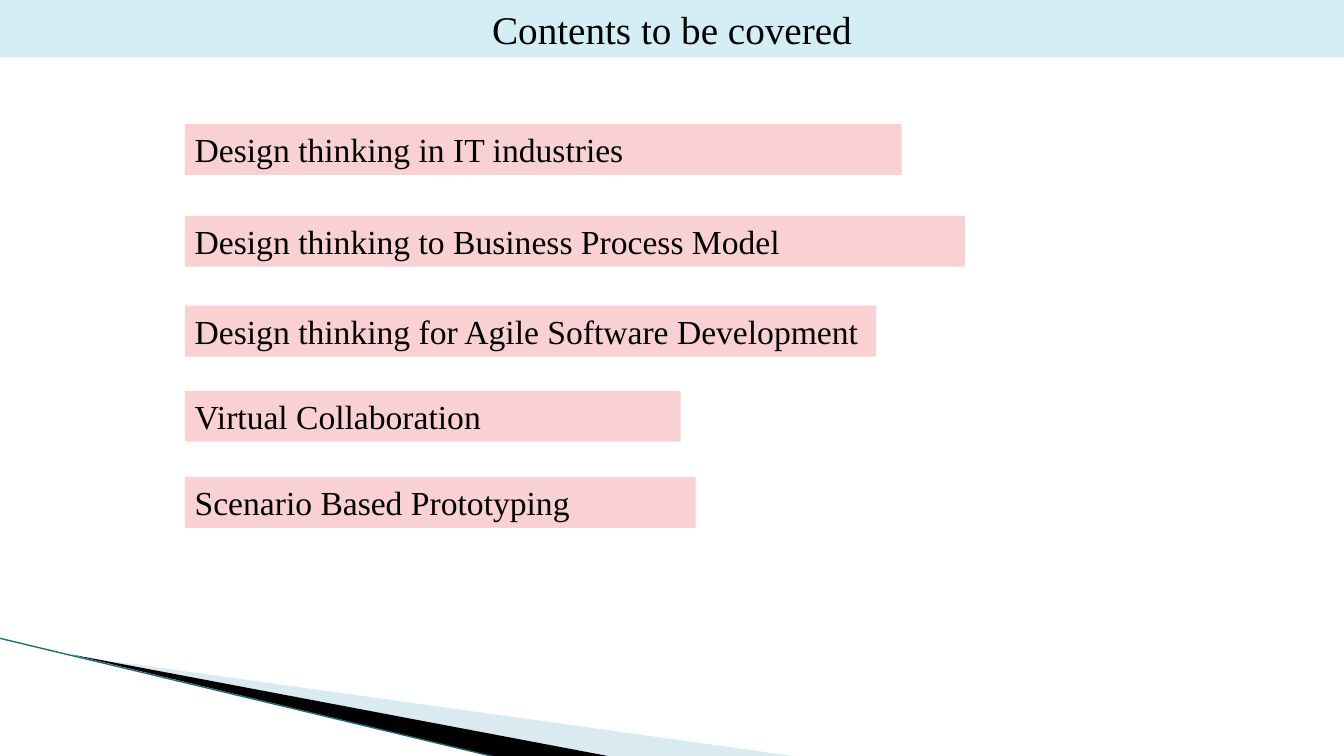
from dataclasses import dataclass

from lxml import etree
from pptx import Presentation
from pptx.dml.color import RGBColor
from pptx.enum.shapes import MSO_CONNECTOR
from pptx.enum.text import MSO_ANCHOR, MSO_AUTO_SIZE, PP_ALIGN
from pptx.oxml.ns import qn
from pptx.util import Pt

STRAIGHT = MSO_CONNECTOR.STRAIGHT
TOP = MSO_ANCHOR.TOP
FIT_SHAPE = MSO_AUTO_SIZE.SHAPE_TO_FIT_TEXT
LEFT, CENTER = PP_ALIGN.LEFT, PP_ALIGN.CENTER


@dataclass(frozen=True)
class Theme:
    """Colours, font and type sizes of the slide."""

    font: str = "Times New Roman"
    title_size: int = 28
    topic_size: int = 24
    text: RGBColor = RGBColor(0x00, 0x00, 0x00)
    title_fill: RGBColor = RGBColor(0xD3, 0xEE, 0xF5)
    topic_fill: RGBColor = RGBColor(0xF9, 0xD1, 0xD3)
    pale_wedge: RGBColor = RGBColor(0xA0, 0xCB, 0xDC)
    dark_wedge: RGBColor = RGBColor(0x00, 0x00, 0x00)
    edge: RGBColor = RGBColor(0x14, 0x6C, 0x7C)


THEME = Theme()
SLIDE_WIDTH, SLIDE_HEIGHT = 960, 540
TOPIC_LEFT, TOPIC_HEIGHT = 132, 36.35
TOPICS = [
    ("Design thinking in IT industries", 88.6, 512),
    ("Design thinking to Business Process Model", 154.2, 557.3),
    ("Design thinking for Agile Software Development", 218.4, 493.8),
    ("Virtual Collaboration", 279.2, 354.2),
    ("Scenario Based Prototyping", 340.7, 365),
]


def add_wedge(slide, points, color, opacity=100):
    """Draw a borderless polygon with the given opacity in percent."""
    (left, top), *others = points
    builder = slide.shapes.build_freeform(Pt(left), Pt(top))
    builder.add_line_segments([(Pt(x), Pt(y)) for x, y in others], close=True)
    shape = builder.convert_to_shape()
    shape.shadow.inherit = False
    shape.fill.solid()
    shape.fill.fore_color.rgb = color
    shape.line.fill.background()
    if opacity < 100:
        color_element = shape._element.spPr.find(".//" + qn("a:srgbClr"))
        etree.SubElement(color_element, qn("a:alpha"), val=str(opacity * 1000))


def add_edge(slide, begin, end):
    """Draw the thin line along the lower wedge."""
    points = [Pt(value) for value in (*begin, *end)]
    connector = slide.shapes.add_connector(STRAIGHT, *points)
    connector.line.color.rgb = THEME.edge
    connector.line.width = Pt(0.95)
    etree.SubElement(connector._element.spPr, qn("a:effectLst"))


def add_label(slide, text, box, fill, size, alignment=LEFT):
    """Add a filled text box with one line of text."""
    shape = slide.shapes.add_textbox(*(Pt(value) for value in box))
    shape.fill.solid()
    shape.fill.fore_color.rgb = fill
    frame = shape.text_frame
    frame.word_wrap = True
    frame.auto_size = FIT_SHAPE
    frame.vertical_anchor = TOP
    paragraph = frame.paragraphs[0]
    paragraph.text = text
    paragraph.alignment = alignment
    paragraph.font.name = THEME.font
    paragraph.font.size = Pt(size)
    paragraph.font.color.rgb = THEME.text


def main():
    """Build the contents slide and save it."""
    presentation = Presentation()
    presentation.slide_width = Pt(SLIDE_WIDTH)
    presentation.slide_height = Pt(SLIDE_HEIGHT)
    slide = presentation.slides.add_slide(presentation.slide_layouts[6])

    add_wedge(slide, [(52.5, 468.4), (571, 540.6), (437.8, 540.6)],
              THEME.pale_wedge, opacity=40)
    add_wedge(slide, [(51.4, 467.6), (438.4, 540.8), (357, 541.4)],
              THEME.dark_wedge)
    add_edge(slide, (-0.7, 455.8), (356.4, 541.4))

    add_label(slide, "Contents to be covered", (0, 0, SLIDE_WIDTH, 41),
              THEME.title_fill, THEME.title_size, CENTER)
    for text, top, width in TOPICS:
        add_label(slide, text, (TOPIC_LEFT, top, width, TOPIC_HEIGHT),
                  THEME.topic_fill, THEME.topic_size)

    presentation.save("out.pptx")


if __name__ == "__main__":
    main()
